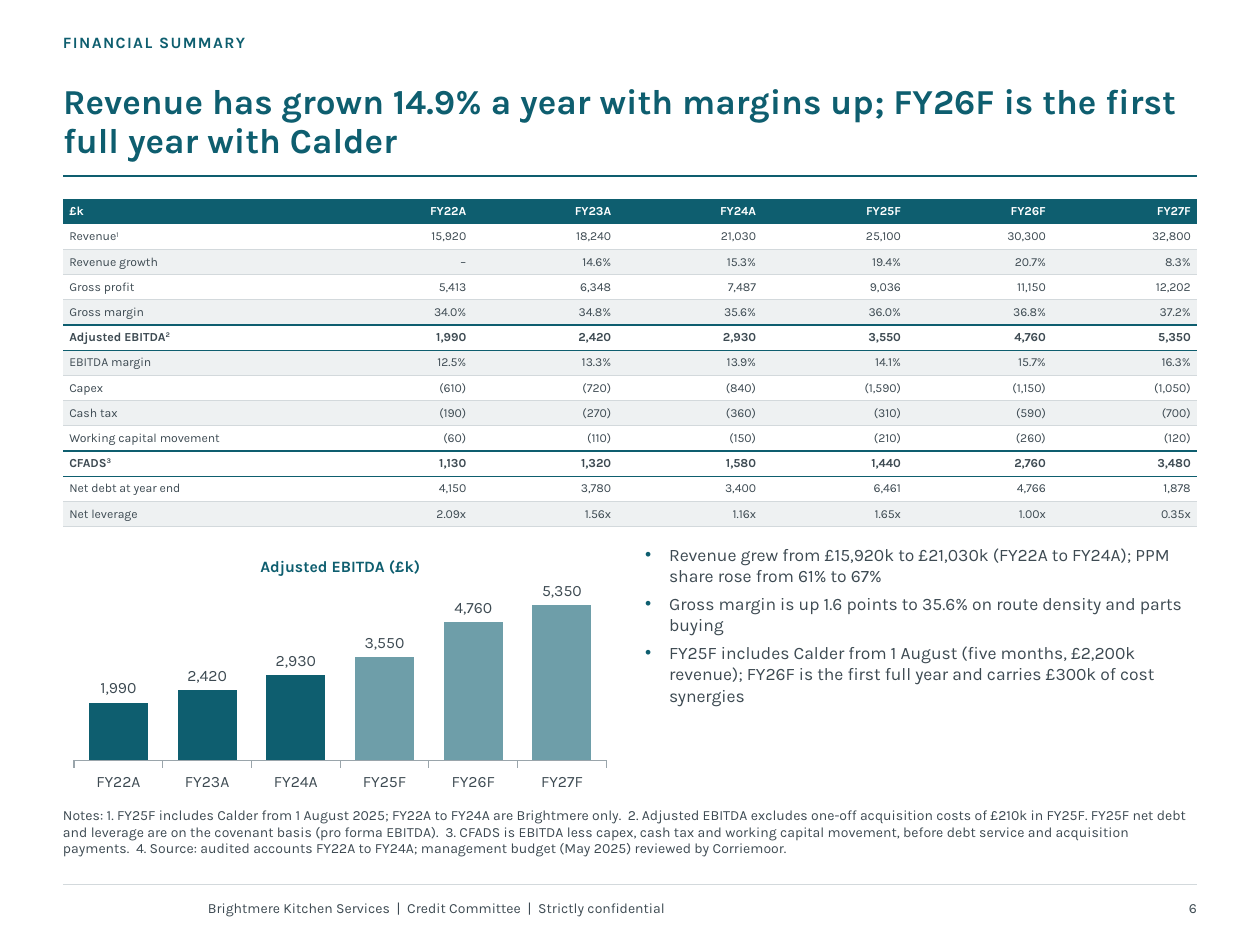
from lxml.etree import SubElement
from pptx import Presentation
from pptx.chart.data import CategoryChartData
from pptx.dml.color import RGBColor
from pptx.enum.chart import XL_CHART_TYPE as ChartType, XL_LABEL_POSITION as LabelPosition
from pptx.enum.chart import XL_TICK_MARK as TickMark
from pptx.enum.shapes import MSO_CONNECTOR as Connector
from pptx.enum.text import MSO_ANCHOR as Anchor, MSO_AUTO_SIZE as AutoSize, PP_ALIGN as Align
from pptx.oxml.ns import qn
from pptx.util import Inches, Pt

TEAL, LIGHT_TEAL, INK = "0E5E6F", "6E9EA9", "3D4A52"
RULE, BAND, AXIS, WHITE = "D3D9DC", "EEF1F2", "9AA5AB", "FFFFFF"
FONT = "Karla"
color = RGBColor.from_string


def add_text(paragraph, text, size=8, fill=INK, bold=False, align=Align.LEFT, superscript="", spacing=0):
    paragraph.alignment = align
    for part, baseline in ((text, 0), (superscript, 30000)):
        if part:
            run = paragraph.add_run()
            run.text = part
            run.font.name, run.font.size, run.font.bold = FONT, Pt(size), bold
            run.font.color.rgb = color(fill)
            properties = run._r.get_or_add_rPr()
            if baseline:
                properties.set("baseline", str(baseline))
            if spacing:
                properties.set("spc", str(spacing))


def set_frame(shape, box, insets=(0, 0, 0, 0), anchor=Anchor.TOP):
    shape.left, shape.top, shape.width, shape.height = map(Inches, box)
    frame = shape.text_frame
    frame.word_wrap, frame.auto_size, frame.vertical_anchor = True, AutoSize.NONE, anchor
    frame.margin_left, frame.margin_top, frame.margin_right, frame.margin_bottom = map(Inches, insets)
    return frame


presentation = Presentation()
presentation.slide_width, presentation.slide_height = Inches(10), Inches(7.5)
slide = presentation.slides.add_slide(presentation.slide_layouts[1])
shapes = slide.shapes

# Rules under the title and above the footer
for y, line_color, width in ((7.02, RULE, 0.75), (1.4, TEAL, 1.25)):
    rule = shapes.add_connector(Connector.STRAIGHT, Inches(0.5), Inches(y), Inches(9.5), Inches(y))
    rule.line.color.rgb, rule.line.width = color(line_color), Pt(width)
    SubElement(rule._element.spPr, qn("a:effectLst"))

# Title
frame = set_frame(shapes.title, (0.5, 0.5, 9, 0.82), (0, 0, 0, 0.04), Anchor.BOTTOM)
frame.paragraphs[0].line_spacing = 0.92
add_text(frame.paragraphs[0],
         "Revenue has grown 14.9% a year with margins up; FY26F is the first full year with Calder",
         size=20, fill=TEAL, bold=True)

# Section label, notes and footer
notes = (
    "Notes: 1. FY25F includes Calder from 1 August 2025; FY22A to FY24A are Brightmere only.  "
    "2. Adjusted EBITDA excludes one-off acquisition costs of £210k in FY25F. FY25F net debt and leverage "
    "are on the covenant basis (pro forma EBITDA).  3. CFADS is EBITDA less capex, cash tax and working "
    "capital movement, before debt service and acquisition payments.  4. Source: audited accounts FY22A to "
    "FY24A; management budget (May 2025) reviewed by Corriemoor.")
footer = "Brightmere Kitchen Services  |  Credit Committee  |  Strictly confidential"
text_boxes = [
    ("FINANCIAL SUMMARY", (0.5, 0.26, 7, 0.24), (0, 0, 0, 0), Anchor.TOP,
     dict(size=9, fill=TEAL, bold=True, spacing=80)),
    (notes, (0.5, 6.4, 9, 0.58), (0, 0, 0, 0), Anchor.TOP, {}),
    (footer, (1.65, 7.08, 5.6, 0.26), (0, 0.05, 0.1, 0.05), Anchor.MIDDLE, {}),
    ("6", (8.5, 7.08, 1, 0.26), (0.1, 0.05, 0, 0.05), Anchor.MIDDLE, dict(align=Align.RIGHT)),
]
for text, box, insets, anchor, style in text_boxes:
    frame = set_frame(shapes.add_textbox(0, 0, 0, 0), box, insets, anchor)
    add_text(frame.paragraphs[0], text, **style)

# Financial table
years = ["FY22A", "FY23A", "FY24A", "FY25F", "FY26F", "FY27F"]
rows = [
    ["£k", *years],
    ["Revenue", "15,920", "18,240", "21,030", "25,100", "30,300", "32,800"],
    ["Revenue growth", "–", "14.6%", "15.3%", "19.4%", "20.7%", "8.3%"],
    ["Gross profit", "5,413", "6,348", "7,487", "9,036", "11,150", "12,202"],
    ["Gross margin", "34.0%", "34.8%", "35.6%", "36.0%", "36.8%", "37.2%"],
    ["Adjusted EBITDA", "1,990", "2,420", "2,930", "3,550", "4,760", "5,350"],
    ["EBITDA margin", "12.5%", "13.3%", "13.9%", "14.1%", "15.7%", "16.3%"],
    ["Capex", "(610)", "(720)", "(840)", "(1,590)", "(1,150)", "(1,050)"],
    ["Cash tax", "(190)", "(270)", "(360)", "(310)", "(590)", "(700)"],
    ["Working capital movement", "(60)", "(110)", "(150)", "(210)", "(260)", "(120)"],
    ["CFADS", "1,130", "1,320", "1,580", "1,440", "2,760", "3,480"],
    ["Net debt at year end", "4,150", "3,780", "3,400", "6,461", "4,766", "1,878"],
    ["Net leverage", "2.09x", "1.56x", "1.16x", "1.65x", "1.00x", "0.35x"],
]
footnotes = {"Revenue": "1", "Adjusted EBITDA": "2", "CFADS": "3"}
totals = ("Adjusted EBITDA", "CFADS")
table = shapes.add_table(len(rows), len(rows[0]), Inches(0.5), Inches(1.58), Inches(9), Inches(2.6)).table
table.horz_banding = False
# "No Style, No Grid"
table._tbl.tblPr.find(qn("a:tableStyleId")).text = "{2D5ABB26-0587-4C30-8999-92F81FD0307C}"
for index, column in enumerate(table.columns):
    column.width = Inches(1.15 if index else 2.1)
for row_index, values in enumerate(rows):
    table.rows[row_index].height = Inches(0.2)
    header, total = row_index == 0, values[0] in totals
    if header:
        borders = []
    elif total:
        borders = [("a:lnT", TEAL, 1), ("a:lnB", TEAL, 1)]
    else:
        borders = [("a:lnB", RULE, 0.5)]
    for column_index, value in enumerate(values):
        cell = table.cell(row_index, column_index)
        cell.vertical_anchor = Anchor.MIDDLE
        cell.margin_left = cell.margin_right = Inches(0.05)
        cell.margin_top = cell.margin_bottom = Inches(0.02)
        add_text(cell.text_frame.paragraphs[0], value, size=7, fill=WHITE if header else INK,
                 bold=header or total, align=Align.RIGHT if column_index else Align.LEFT,
                 superscript=footnotes.get(value, ""))
        properties = cell._tc.get_or_add_tcPr()
        for tag, border_color, width in borders:
            border = SubElement(properties, qn(tag), w=str(Pt(width)))
            SubElement(SubElement(border, qn("a:solidFill")), qn("a:srgbClr"), val=border_color)
        if header or (row_index % 2 == 0 and not total):
            cell.fill.solid()
            cell.fill.fore_color.rgb = color(TEAL if header else BAND)
        else:
            cell.fill.background()

# EBITDA chart: actuals dark, forecasts light
chart_title = "Adjusted EBITDA (£k)"
chart_data = CategoryChartData()
chart_data.categories = years
chart_data.add_series(chart_title, (1990, 2420, 2930, 3550, 4760, 5350))
chart = shapes.add_chart(ChartType.COLUMN_CLUSTERED, Inches(0.5), Inches(4.3), Inches(4.4), Inches(2.02),
                         chart_data).chart
chart.font.name, chart.font.size, chart.font.color.rgb = FONT, Pt(9), color(INK)
chart.has_legend = False
chart.has_title = True
add_text(chart.chart_title.text_frame.paragraphs[0], chart_title, size=9, fill=TEAL, bold=True,
         align=Align.CENTER)
chart.chart_title.include_in_layout = False
chart.value_axis.visible = False
chart.value_axis.has_major_gridlines = False
chart.value_axis.minimum_scale = 0
category_axis = chart.category_axis
category_axis.major_tick_mark = TickMark.OUTSIDE
category_axis.format.line.color.rgb, category_axis.format.line.width = color(AXIS), Pt(0.75)
plot = chart.plots[0]
plot.gap_width, plot.vary_by_categories = 50, False
series = plot.series[0]
series.format.fill.solid()
series.format.fill.fore_color.rgb = color(TEAL)
for index, year in enumerate(years):
    point_fill = series.points[index].format.fill
    point_fill.solid()
    point_fill.fore_color.rgb = color(TEAL if year.endswith("A") else LIGHT_TEAL)
labels = series.data_labels
labels.show_value, labels.position = True, LabelPosition.OUTSIDE_END
labels.number_format, labels.number_format_is_linked = "#,##0;(#,##0)", False
labels.font.name, labels.font.size, labels.font.color.rgb = FONT, Pt(9), color(INK)

# Commentary list
comments = [
    "Revenue grew from £15,920k to £21,030k (FY22A to FY24A); PPM share rose from 61% to 67%",
    "Gross margin is up 1.6 points to 35.6% on route density and parts buying",
    "FY25F includes Calder from 1 August (five months, £2,200k revenue); FY26F is the first full year "
    "and carries £300k of cost synergies",
]
frame = set_frame(slide.placeholders[1], (5.1, 4.3, 4.4, 2.02), (0.02, 0.02, 0, 0))
for index, comment in enumerate(comments):
    paragraph = frame.add_paragraph() if index else frame.paragraphs[0]
    properties = paragraph._p.get_or_add_pPr()
    properties.set("marL", str(Inches(0.19)))
    properties.set("indent", str(Inches(-0.19)))
    SubElement(SubElement(properties, qn("a:buClr")), qn("a:srgbClr"), val=TEAL)
    SubElement(properties, qn("a:buChar"), char="•")
    paragraph.space_before = Pt(4 if index else 0)
    add_text(paragraph, comment, size=10)

presentation.save("out.pptx")
